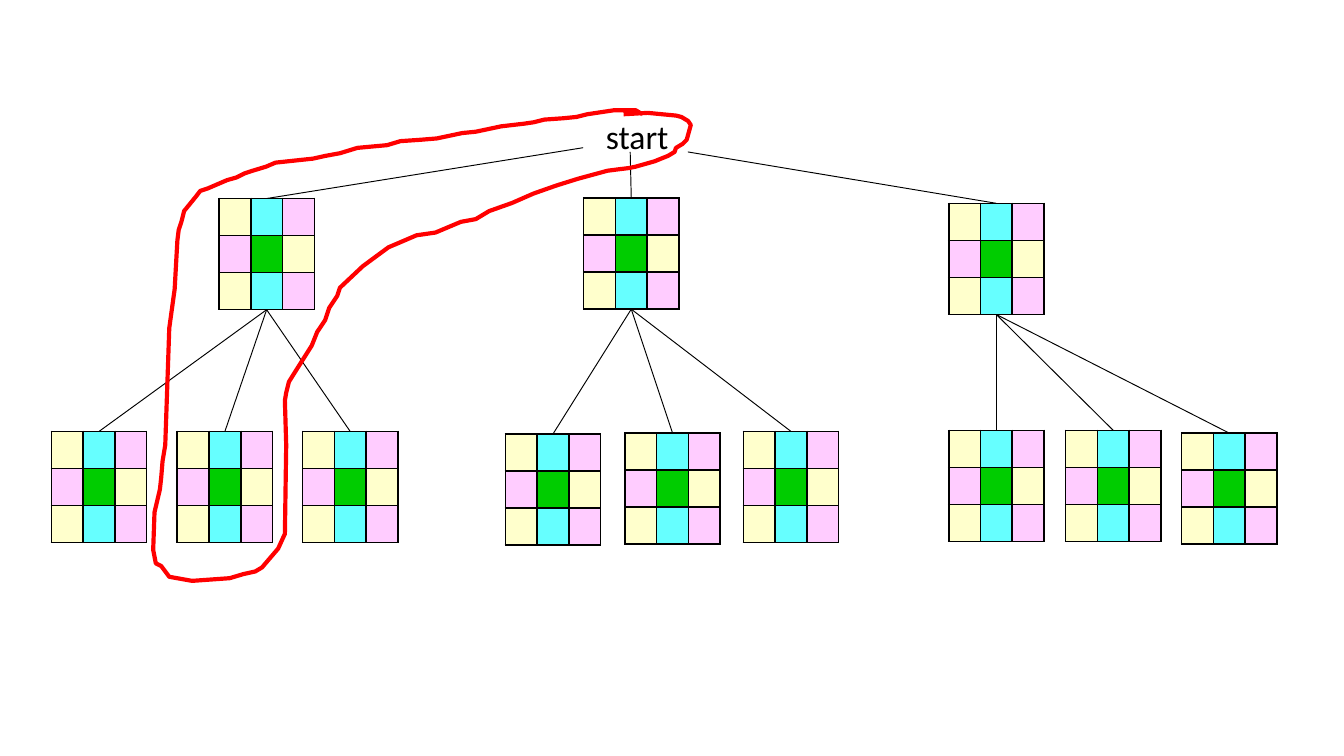
from lxml import etree
from pptx import Presentation
from pptx.dml.color import RGBColor
from pptx.enum.shapes import MSO_CONNECTOR
from pptx.oxml.ns import qn
from pptx.util import Cm, Pt

LINE = MSO_CONNECTOR.STRAIGHT

HUES = {"y": "FFFFCC", "b": "66FFFF", "p": "FFCCFF", "g": "00CC00",
        "ink": "000000", "loop": "FF0000"}
GRID = ["ybp", "pgy", "ybp"]

# Left and top of each board in cm: the parent, then its children.
TREE = [
    ((4.14, 3.75), [(0.97, 8.15), (3.35, 8.15), (5.72, 8.15)]),
    ((11.03, 3.74), [(9.55, 8.2), (11.81, 8.18), (14.05, 8.15)]),
    ((17.93, 3.84), [(17.93, 8.13), (20.14, 8.13), (22.33, 8.18)]),
]
ROOT = {"text": "start", "box": (11.2, 2.06, 1.8, 1.02)}
STEMS = [(11.02, 2.79), (11.91, 2.87), (13, 2.87)]

# Hand-drawn loop, in steps of 0.0254 cm.
STEP = Cm(0.0254)
LOOP = [
    (464, 85), (482, 84), (503, 86), (507, 87), (512, 90), (514, 93),
    (511, 104), (508, 107), (503, 110), (502, 113), (497, 116), (487, 120),
    (473, 124), (468, 125), (460, 126), (452, 127), (430, 133), (414, 138),
    (397, 144), (381, 151), (364, 157), (354, 163), (343, 165), (324, 173),
    (310, 175), (289, 184), (270, 198), (253, 214), (251, 220), (245, 229),
    (242, 238), (236, 247), (232, 257), (220, 276), (215, 284), (213, 292),
    (212, 298), (213, 331), (212, 397), (207, 408), (195, 422), (190, 425),
    (181, 427), (171, 430), (143, 432), (126, 429), (120, 421), (116, 419),
    (114, 409), (115, 381), (119, 364), (120, 355), (121, 343), (123, 331),
    (126, 244), (130, 215), (132, 179), (133, 171), (135, 165), (137, 157),
    (146, 146), (149, 142), (155, 140), (169, 134), (176, 132), (182, 129),
    (188, 127), (198, 124), (205, 121), (233, 118), (242, 116), (253, 114),
    (266, 110), (288, 108), (298, 105), (313, 104), (325, 103), (344, 99),
    (354, 98), (373, 94), (390, 92), (397, 91), (405, 89), (419, 88),
    (429, 87), (437, 85), (457, 82), (473, 82), (478, 85),
]

COL, ROW = 0.6, 0.7
WIDE, HIGH = COL * 3, ROW * 3
CELL = {"margin_left": 0, "margin_right": 0, "margin_top": 0, "margin_bottom": 0}
FONT = {"name": "Calibri", "size": Pt(18)}


def rgb(key):
    return RGBColor.from_string(HUES[key])


def edge(cell):
    """Draw a thin solid border on all four sides of a cell."""
    props = cell._tc.get_or_add_tcPr()
    for side in ("a:lnL", "a:lnR", "a:lnT", "a:lnB"):
        line = etree.SubElement(props, qn(side), w=str(Pt(1)))
        fill = etree.SubElement(line, qn("a:solidFill"))
        etree.SubElement(fill, qn("a:srgbClr"), val=HUES["ink"])


def board(shapes, left, top):
    frame = shapes.add_table(3, 3, Cm(left), Cm(top), Cm(WIDE), Cm(HIGH))
    table = frame.table
    for col in table.columns:
        col.width = Cm(COL)
    for r, keys in enumerate(GRID):
        table.rows[r].height = Cm(ROW)
        for c, key in enumerate(keys):
            cell = table.cell(r, c)
            for name, value in CELL.items():
                setattr(cell, name, value)
            para = cell.text_frame.paragraphs[0]._p
            etree.SubElement(para, qn("a:endParaRPr"), sz="800")
            edge(cell)
            cell.fill.solid()
            cell.fill.fore_color.rgb = rgb(key)


def link(shapes, start, end):
    line = shapes.add_connector(LINE, *map(Cm, start + end))
    line.line.color.rgb = rgb("ink")
    line.line.width = Pt(0.5)
    etree.SubElement(line._element.spPr, qn("a:effectLst"))


def label(shapes):
    frame = shapes.add_textbox(*map(Cm, ROOT["box"])).text_frame
    frame.word_wrap = True
    run = frame.paragraphs[0].add_run()
    run.text = ROOT["text"]
    for name, value in FONT.items():
        setattr(run.font, name, value)
    run.font.color.rgb = rgb("ink")


def loop(shapes):
    path = shapes.build_freeform(*LOOP[0], scale=STEP)
    path.add_line_segments(LOOP[1:], close=False)
    shape = path.convert_to_shape()
    shape.shadow.inherit = False
    shape.fill.background()
    shape.line.color.rgb = rgb("loop")
    shape.line.width = Pt(2.25)


def main():
    deck = Presentation()
    deck.slide_width, deck.slide_height = Cm(25.4), Cm(14.28)
    shapes = deck.slides.add_slide(deck.slide_layouts[6]).shapes
    label(shapes)
    for stem, ((left, top), kids) in zip(STEMS, TREE):
        mid = left + WIDE / 2
        link(shapes, stem, (mid, top))
        board(shapes, left, top)
        for x, y in kids:
            board(shapes, x, y)
            link(shapes, (mid, top + HIGH), (x + WIDE / 2, y))
    loop(shapes)
    deck.save("out.pptx")


if __name__ == "__main__":
    main()
